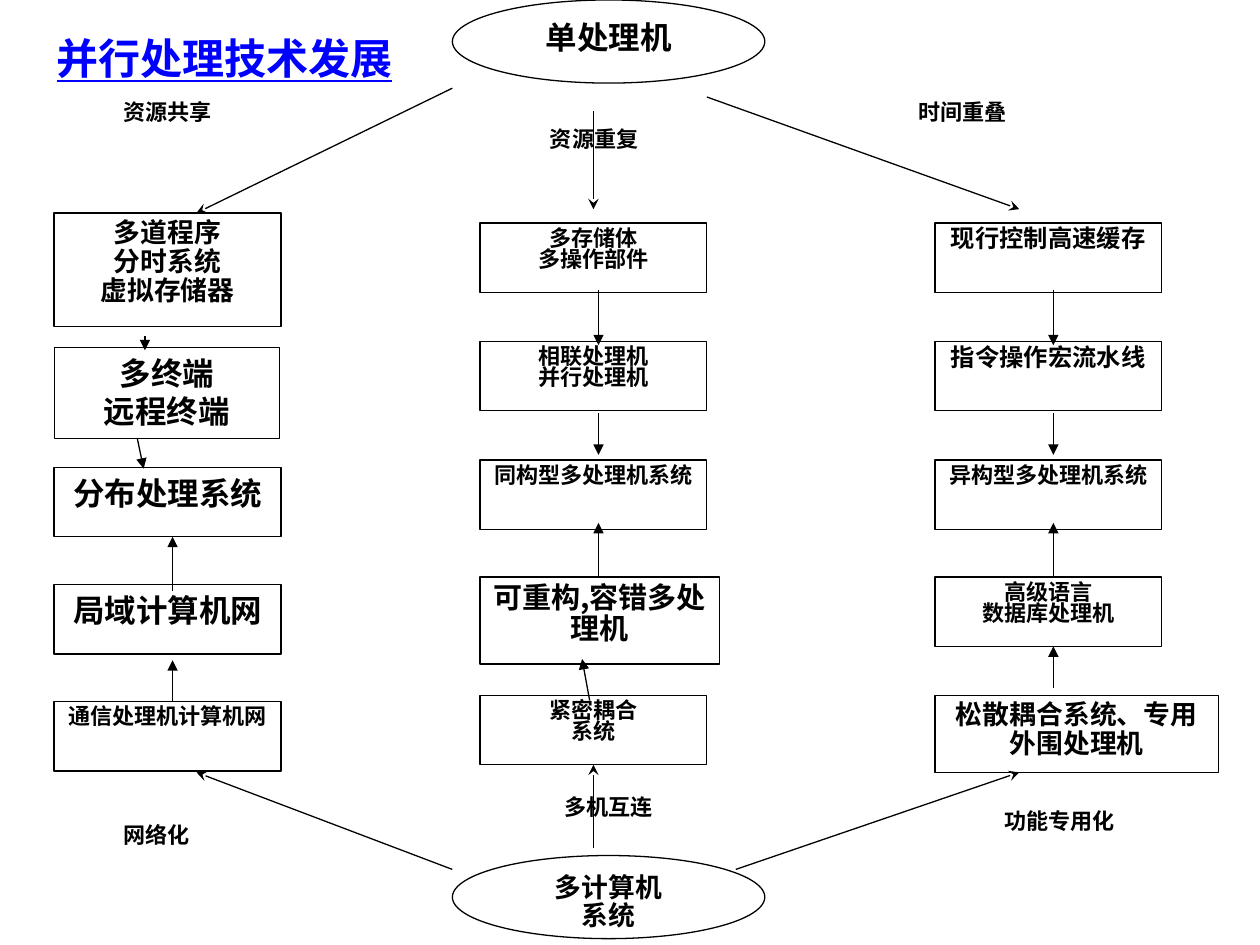
from typing import NamedTuple

from lxml.etree import SubElement
from pptx import Presentation
from pptx.dml.color import RGBColor
from pptx.enum.shapes import MSO_CONNECTOR as Connector, MSO_SHAPE as Shape
from pptx.enum.text import MSO_ANCHOR as Anchor, PP_ALIGN as Align
from pptx.oxml.ns import qn
from pptx.util import Emu, Pt

PX = 9144
PITCH = 93.75
FONT = "Noto Sans CJK SC"
BLACK, BLUE = "000000", "0000FF"


class Cell(NamedTuple):
    """One box in a column, raised from its row by rise."""
    lines: str
    size: float = 12.6
    spacing: float = 0.8
    width: int = 180
    height: int = 55
    rise: int = 0


class Branch(NamedTuple):
    """A label and an arrow, both relative to their hub."""
    label: str
    label_box: tuple
    align: Align
    arrow: tuple


def px(*lengths):
    """Turn px into EMU."""
    return [Emu(round(length * PX)) for length in lengths]


def color(hex_code):
    """Turn a hex string into a colour."""
    return RGBColor.from_string(hex_code)


def write(shape, text, size=12.6, spacing=0.8, align=Align.CENTER, ink=BLACK, underline=None):
    """Fill a shape with bold text, one paragraph per line."""
    frame = shape.text_frame
    frame.word_wrap = True
    frame.vertical_anchor = Anchor.TOP
    for index, line in enumerate(text.split("\n")):
        paragraph = frame.add_paragraph() if index else frame.paragraphs[0]
        paragraph.alignment = align
        paragraph.line_spacing = spacing
        run = paragraph.add_run()
        run.text = line
        font = run.font
        font.name, font.size, font.bold, font.underline = FONT, Pt(size), True, underline
        font.color.rgb = color(ink)
        latin = font._element.find(qn("a:latin"))
        east_asian = latin.makeelement(qn("a:ea"), {"typeface": FONT})
        latin.addnext(east_asian)


def add_outline(slide, kind, box, text, size, spacing):
    """Draw an unfilled outlined shape with text."""
    shape = slide.shapes.add_shape(kind, *px(*box))
    shape.shadow.inherit = False
    shape.fill.background()
    shape.line.color.rgb = color(BLACK)
    shape.line.width = Pt(0.75)
    write(shape, text, size, spacing)


def add_label(slide, box, text, **style):
    """Place text without an outline."""
    write(slide.shapes.add_textbox(*px(*box)), text, **style)


def add_arrow(slide, left, top, ends, head):
    """Draw an arrow whose ends are relative to left and top."""
    x1, y1, x2, y2 = ends
    arrow = slide.shapes.add_connector(
        Connector.STRAIGHT, *px(left + x1, top + y1, left + x2, top + y2))
    arrow.line.color.rgb = color(BLACK)
    arrow.line.width = Pt(0.75)
    SubElement(arrow.line._get_or_add_ln(), qn("a:tailEnd"), type=head)
    SubElement(arrow._element.spPr, qn("a:effectLst"))


def add_column(slide, left, top, cells, arrows):
    """Stack cells at an equal pitch and link them with arrows."""
    for row, cell in enumerate(cells):
        box = (left, top + round(row * PITCH) - cell.rise, cell.width, cell.height)
        add_outline(slide, Shape.RECTANGLE, box, cell.lines, cell.size, cell.spacing)
    for ends in arrows:
        add_arrow(slide, left, top, ends, "triangle")


def add_hub(slide, box, text, size, spacing, branches):
    """Draw an ellipse with its labelled branches."""
    left, top = box[:2]
    add_outline(slide, Shape.OVAL, box, text, size, spacing)
    for branch in branches:
        x, y, width = branch.label_box
        add_arrow(slide, left, top, branch.arrow, "stealth")
        add_label(slide, (left + x, top + y, width, 33), branch.label, align=branch.align)


def main():
    """Build the slide."""
    deck = Presentation()
    deck.slide_width, deck.slide_height = px(1000, 750)
    slide = deck.slides.add_slide(deck.slide_layouts[6])

    sharing = [
        Cell("多道程序\n分时系统\n虚拟存储器", 15.3, 0.9, height=90, rise=14),
        Cell("多终端\n远程终端", 18, 1.0, width=179, height=72, rise=1),
        Cell("分布处理系统", 18, 1.0),
        Cell("局域计算机网", 18, 1.0),
        Cell("通信处理机计算机网", rise=1),
    ]
    repetition = [
        Cell("多存储体\n多操作部件"),
        Cell("相联处理机\n并行处理机"),
        Cell("同构型多处理机系统"),
        Cell("可重构,容错多处理机", 16.6, 0.9, width=190, height=69),
        Cell("紧密耦合\n系统"),
    ]
    overlap = [
        Cell("现行控制高速缓存", 13.9),
        Cell("指令操作宏流水线", 13.9),
        Cell("异构型多处理机系统"),
        Cell("高级语言\n数据库处理机"),
        Cell("松散耦合系统、专用外围处理机", 15.3, 0.9, width=225, height=61),
    ]
    shared_links = [(94, 53, 94, 97), (94, 151, 94, 184), (94, 281, 94, 238)]
    sharing_links = [(72, 84, 72, 95), (66, 165, 71, 189), (94, 286, 94, 243), (94, 373, 94, 341)]
    add_column(slide, 43, 183, sharing, sharing_links)
    add_column(slide, 381, 177, repetition, shared_links + [(87, 379, 81, 346)])
    add_column(slide, 742, 177, overlap, shared_links + [(94, 369, 94, 336)])

    add_hub(slide, (359, 0, 248, 66), "单处理机", 18, 1.0, [
        Branch("资源共享", (-271, 77, 181), Align.JUSTIFY, (0, 70, -203, 169)),
        Branch("资源重复", (22, 99, 181), Align.CENTER, (112, 88, 112, 166)),
        Branch("时间重叠", (360, 77, 181), Align.JUSTIFY, (202, 77, 450, 166)),
    ])
    add_hub(slide, (359, 679, 248, 66), "多计算机\n系统", 15.3, 0.9, [
        Branch("网络化", (-271, -28, 135), Align.JUSTIFY, (0, 11, -203, -66)),
        Branch("多机互连", (45, -50, 158), Align.CENTER, (112, -6, 112, -72)),
        Branch("功能专用化", (428, -39, 181), Align.JUSTIFY, (225, 11, 450, -66)),
    ])
    add_label(slide, (35, 21, 291, 50), "并行处理技术发展", size=24, spacing=1.0,
              align=Align.LEFT, ink=BLUE, underline=True)
    deck.save("out.pptx")


if __name__ == "__main__":
    main()
